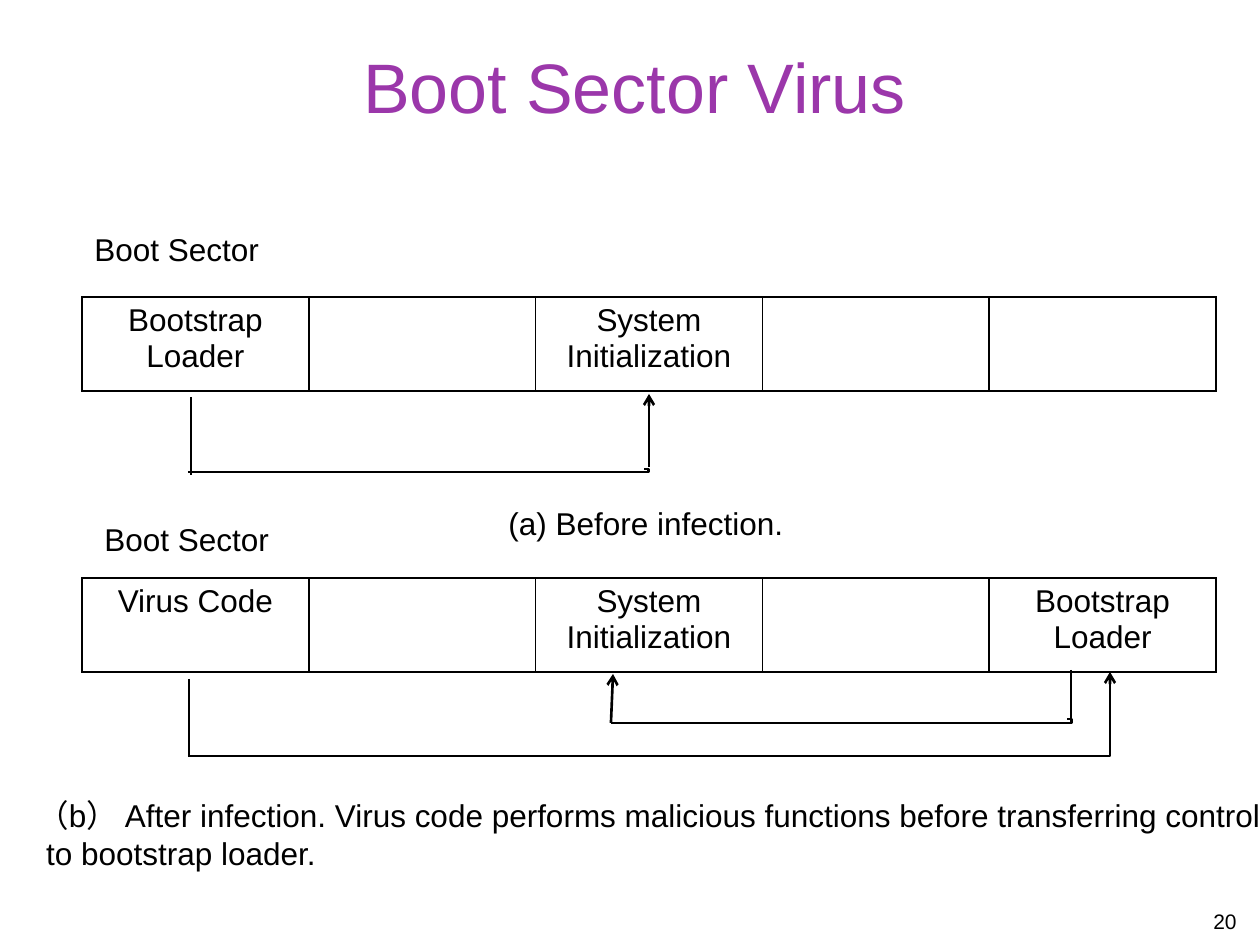
import pptx
import pptx.dml.color
import pptx.enum.shapes
import pptx.enum.text
import pptx.oxml
import pptx.oxml.ns
import pptx.util
from dataclasses import dataclass

PIXEL = 914400 / 126
ALIGN = pptx.enum.text.PP_ALIGN
ANCHOR = pptx.enum.text.MSO_ANCHOR
CONNECTOR = pptx.enum.shapes.MSO_CONNECTOR
NAMESPACE = pptx.oxml.ns.nsdecls("a")


@dataclass(frozen=True)
class Theme:
    """Colours, font and sizes of the slide."""
    font: str = "Arial"
    ink: str = "000000"
    accent: str = "9B37AA"
    title: int = 40
    body: int = 18
    number: int = 12
    border: float = 1
    stroke: float = 1.5


THEME = Theme()


def emu(*lengths):
    """Turn px lengths into EMU."""
    return [pptx.util.Emu(round(length * PIXEL)) for length in lengths]


def apply(target, values):
    """Set every attribute in a dict of format values."""
    for name, value in values.items():
        setattr(target, name, value)


def write(frame, lines, size=THEME.body, color=THEME.ink, align=ALIGN.LEFT):
    """Fill a text frame with one paragraph per line."""
    for index, line in enumerate(lines):
        paragraph = frame.add_paragraph() if index else frame.paragraphs[0]
        paragraph.text = line
        paragraph.alignment = align
        apply(paragraph.font, {"name": THEME.font, "size": pptx.util.Pt(size)})
        paragraph.font.color.rgb = pptx.dml.color.RGBColor.from_string(color)


def add_text(slide, box, lines, wrap=True, anchor=ANCHOR.TOP, **style):
    """Place a text box."""
    frame = slide.shapes.add_textbox(*emu(*box)).text_frame
    apply(frame, {"word_wrap": wrap, "vertical_anchor": anchor})
    write(frame, lines, **style)


def border_cell(cell):
    """Draw a thin line on each side of a cell."""
    properties = cell._tc.get_or_add_tcPr()
    for side in ("lnL", "lnR", "lnT", "lnB"):
        properties.append(pptx.oxml.parse_xml(
            f'<a:{side} {NAMESPACE} w="{pptx.util.Pt(THEME.border)}"><a:solidFill>'
            f'<a:srgbClr val="{THEME.ink}"/></a:solidFill></a:{side}>'))


def add_sectors(slide, box, names):
    """Place a one-row table of equal disk sectors."""
    table = slide.shapes.add_table(1, len(names), *emu(*box)).table
    apply(table, {"first_row": False, "horz_banding": False})
    for column, cell, name in zip(table.columns, table.rows[0].cells, names):
        column.width = emu(box[2] / len(names))[0]
        border_cell(cell)
        cell.fill.background()
        write(cell.text_frame, [name], align=ALIGN.CENTER)


def add_line(slide, origin, points, arrow=False, bend=None):
    """Draw a straight or bent connector relative to an origin."""
    left, top = origin
    x1, y1, x2, y2 = points
    kind = CONNECTOR.STRAIGHT if bend is None else CONNECTOR.ELBOW
    line = slide.shapes.add_connector(
        kind, *emu(left + x1, top + y1, left + x2, top + y2))
    line.line.width = pptx.util.Pt(THEME.stroke)
    line.line.color.rgb = pptx.dml.color.RGBColor.from_string(THEME.ink)
    properties = line._element.spPr
    if arrow:
        properties.find(pptx.oxml.ns.qn("a:ln")).append(
            pptx.oxml.parse_xml(f'<a:headEnd {NAMESPACE} type="arrow"/>'))
    if bend is not None:
        geometry = properties.find(pptx.oxml.ns.qn("a:prstGeom"))
        geometry.get_or_add_avLst().append(pptx.oxml.parse_xml(
            f'<a:gd {NAMESPACE} name="adj1" fmla="val {round(bend * 100000)}"/>'))
    properties.append(pptx.oxml.parse_xml(f"<a:effectLst {NAMESPACE}/>"))


def add_transfer(slide, origin, base, bend, stem, arrow):
    """Draw one transfer of control: base line, stem and arrow."""
    add_line(slide, origin, base, bend=bend)
    add_line(slide, origin, stem)
    add_line(slide, origin, arrow, arrow=True)


def add_disk(slide, box, names, label, caption, transfers):
    """Place a disk layout with its label, caption and transfers."""
    left, top = box[:2]
    add_sectors(slide, box, names)
    for transfer in transfers:
        add_transfer(slide, (left, top), **transfer)
    add_text(slide, (left + label[0], top + label[1], 192, 50),
             ["Boot Sector"], wrap=False)
    x, y, width, height = caption["box"]
    add_text(slide, (left + x, top + y, width, height),
             caption["lines"], wrap=caption["wrap"])


def main():
    """Build and save the slide."""
    presentation = pptx.Presentation()
    width, height = emu(1260, 945)
    apply(presentation, {"slide_width": width, "slide_height": height})
    slide = presentation.slides.add_slide(presentation.slide_layouts[6])
    add_text(slide, (44, 26, 1181, 120), ["Boot Sector Virus"], size=THEME.title,
             color=THEME.accent, align=ALIGN.CENTER, anchor=ANCHOR.MIDDLE)
    add_disk(
        slide, (82, 297, 1134, 94),
        ["Bootstrap Loader", "", "System Initialization", "", ""],
        label=(0, -73),
        caption={"box": (414, 201, 302, 50), "wrap": False,
                 "lines": ["(a) Before infection."]},
        transfers=[{"base": (106, 175, 562, 172), "bend": 1.01,
                    "stem": (109, 100, 109, 178), "arrow": (567, 97, 567, 170)}])
    add_disk(
        slide, (82, 578, 1134, 94),
        ["Virus Code", "", "System Initialization", "", "Bootstrap Loader"],
        label=(10, -64),
        caption={"box": (-57, 212, 1260, 90), "wrap": True,
                 "lines": ["（b） After infection. Virus code performs malicious "
                           "functions before transferring control",
                           " to bootstrap loader."]},
        transfers=[{"base": (106, 178, 1028, 168), "bend": 1,
                    "stem": (107, 101, 107, 178), "arrow": (1028, 94, 1028, 178)},
                   {"base": (529, 145, 985, 141), "bend": 1.01,
                    "stem": (989, 92, 989, 145), "arrow": (531, 96, 529, 145)}])
    add_text(slide, (955, 902, 294, 34), ["20"], size=THEME.number, align=ALIGN.RIGHT)
    presentation.save("out.pptx")


if __name__ == "__main__":
    main()
